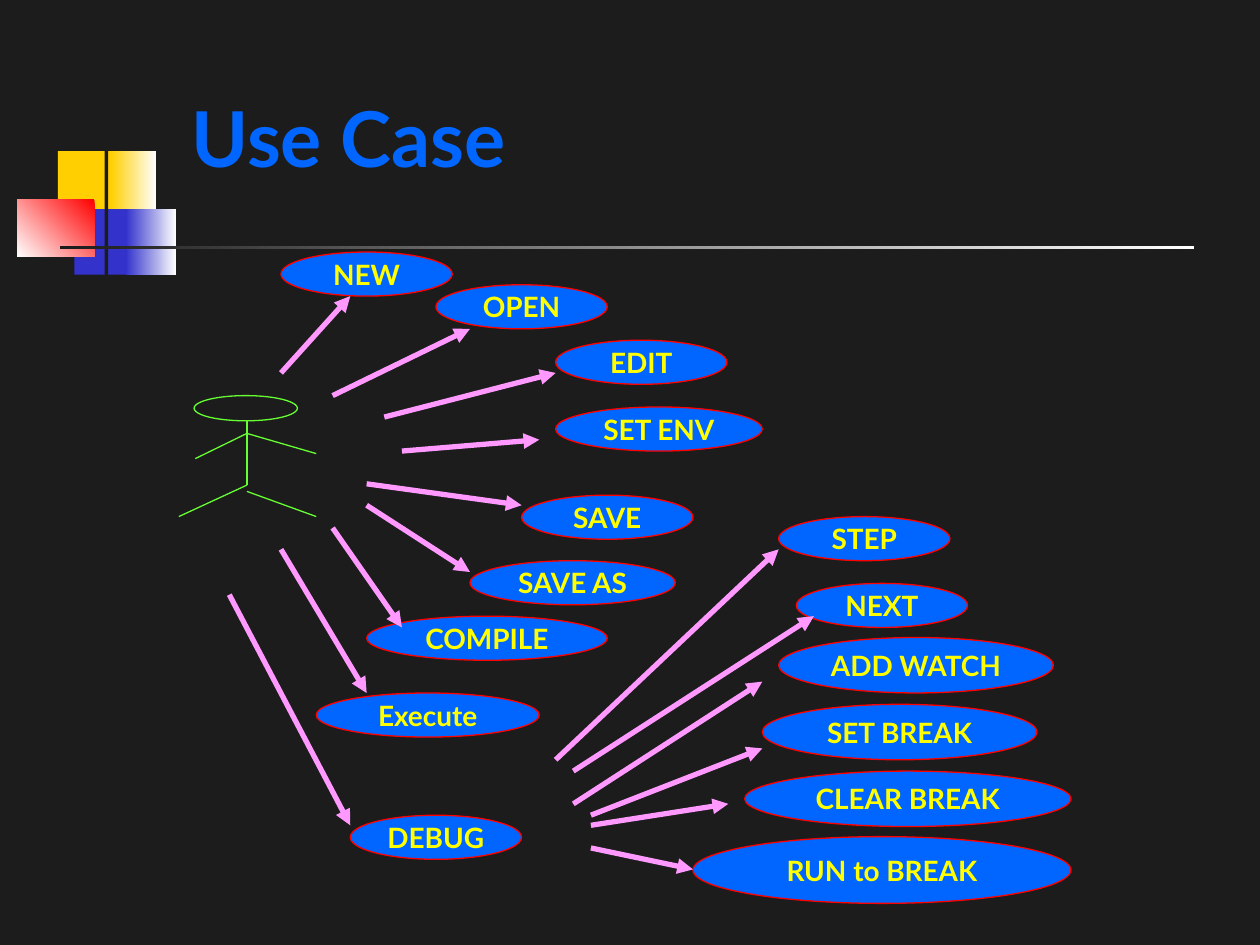
from dataclasses import dataclass

from lxml import etree
from pptx import Presentation
from pptx.dml.color import RGBColor
from pptx.enum.shapes import MSO_CONNECTOR, MSO_SHAPE
from pptx.enum.text import MSO_ANCHOR, MSO_AUTO_SIZE, PP_ALIGN
from pptx.oxml.ns import qn
from pptx.util import Inches, Pt

RECT, OVAL = MSO_SHAPE.RECTANGLE, MSO_SHAPE.OVAL
STRAIGHT = MSO_CONNECTOR.STRAIGHT
LEFT, CENTER = PP_ALIGN.LEFT, PP_ALIGN.CENTER
MIDDLE, BOTTOM = MSO_ANCHOR.MIDDLE, MSO_ANCHOR.BOTTOM
NO_FIT = MSO_AUTO_SIZE.NONE


@dataclass(frozen=True)
class Theme:
    font: str = "Lato"
    title: int = 44
    label: int = 16
    thin: float = 0.75
    thick: float = 3
    back: str = "1C1C1C"
    blue: str = "0066FF"
    yellow: str = "FFFF00"
    red: str = "FF0000"
    pink: str = "FF99FF"
    green: str = "66FF33"
    gold: str = "FFCF01"
    navy: str = "3333CC"
    white: str = "FFFFFF"


THEME = Theme()

# left, top, width, height, colours, gradient angle
BLOCKS = [
    (0.46, 1.2, 0.48, 0.52, [THEME.gold], 0),
    (0.88, 1.2, 0.36, 0.52, [THEME.white, THEME.gold], 180),
    (0.59, 1.66, 0.46, 0.52, [THEME.navy], 0),
    (1, 1.66, 0.4, 0.52, [THEME.white, THEME.navy], 180),
    (0.14, 1.58, 0.61, 0.46, [THEME.red, THEME.white], 225),
    (0.83, 1.08, 0.03, 1.15, [THEME.back], 0),
    (0.48, 1.95, 9, 0.03, [THEME.white, THEME.back], 180),
]

# label, left, top, width, height
CASES = [
    ("NEW", 2.23, 2, 1.36, 0.35),
    ("OPEN", 3.46, 2.26, 1.36, 0.35),
    ("EDIT", 4.41, 2.7, 1.36, 0.35),
    ("SET ENV", 4.41, 3.23, 1.64, 0.35),
    ("SAVE", 4.14, 3.93, 1.36, 0.35),
    ("SAVE AS", 3.73, 4.45, 1.63, 0.35),
    ("COMPILE", 2.91, 4.89, 1.91, 0.35),
    ("Execute", 2.51, 5.5, 1.77, 0.35),
    ("DEBUG", 2.78, 6.47, 1.36, 0.35),
    ("STEP", 6.18, 4.1, 1.36, 0.35),
    ("NEXT", 6.32, 4.63, 1.36, 0.35),
    ("ADD WATCH", 6.18, 5.06, 2.18, 0.44),
    ("SET BREAK", 6.05, 5.59, 2.18, 0.44),
    ("CLEAR BREAK", 5.91, 6.12, 2.59, 0.44),
    ("RUN to BREAK", 5.5, 6.64, 3, 0.53),
]

# from x, y, to x, y
USER_ARROWS = [
    (2.23, 2.96, 2.78, 2.35),
    (2.64, 3.14, 3.73, 2.61),
    (3.05, 3.31, 4.41, 2.96),
    (3.19, 3.58, 4.28, 3.49),
    (2.91, 3.84, 4.14, 4.01),
    (2.91, 4.01, 3.73, 4.54),
    (2.64, 4.19, 3.19, 4.98),
    (2.23, 4.36, 2.91, 5.5),
    (1.82, 4.72, 2.78, 6.55),
]
DEBUG_ARROWS = [
    (4.41, 6.03, 6.18, 4.36),
    (4.55, 6.12, 6.46, 4.89),
    (4.55, 6.38, 6.05, 5.41),
    (4.69, 6.47, 6.05, 5.94),
    (4.69, 6.55, 5.78, 6.38),
    (4.69, 6.73, 5.5, 6.9),
]
LIMBS = [
    (1.96, 3.34, 1.96, 3.85),
    (1.96, 3.44, 1.55, 3.64),
    (1.96, 3.44, 2.51, 3.6),
    (1.96, 3.85, 1.42, 4.1),
    (1.96, 3.9, 2.51, 4.1),
]


def rgb(code):
    return RGBColor.from_string(code)


def style(para, size, color, align):
    para.alignment = align
    font = para.font
    font.name, font.size, font.bold = THEME.font, Pt(size), True
    font.color.rgb = rgb(color)


def add_form(shapes, kind, box, line=None):
    form = shapes.add_shape(kind, *map(Inches, box))
    form.shadow.inherit = False
    if line:
        form.line.color.rgb = rgb(line)
        form.line.width = Pt(THEME.thin)
    else:
        form.line.fill.background()
    return form


def add_block(shapes, box, colors, angle):
    fill = add_form(shapes, RECT, box).fill
    if len(colors) == 1:
        fill.solid()
        fill.fore_color.rgb = rgb(colors[0])
        return
    fill.gradient()
    fill.gradient_angle = angle
    for stop, color in zip(fill.gradient_stops, colors):
        stop.color.rgb = rgb(color)


def add_case(shapes, label, *box):
    form = add_form(shapes, OVAL, box, THEME.red)
    form.fill.solid()
    form.fill.fore_color.rgb = rgb(THEME.blue)
    frame = form.text_frame
    frame.word_wrap = False
    frame.vertical_anchor = MIDDLE
    frame.text = label
    style(frame.paragraphs[0], THEME.label, THEME.yellow, CENTER)


def add_line(shapes, ends, color, width):
    line = shapes.add_connector(STRAIGHT, *map(Inches, ends))
    line.line.color.rgb = rgb(color)
    line.line.width = Pt(width)
    etree.SubElement(line._element.spPr, qn("a:effectLst"))
    return line


def add_arrow(shapes, ends):
    line = add_line(shapes, ends, THEME.pink, THEME.thick)
    etree.SubElement(line.line._get_or_add_ln(), qn("a:tailEnd"), type="triangle")


def add_actor(shapes):
    group = shapes.add_group_shape().shapes
    head = add_form(group, OVAL, (1.54, 3.14, 0.82, 0.2), THEME.green)
    head.fill.background()
    for ends in LIMBS:
        add_line(group, ends, THEME.green, THEME.thin)


def set_title(title, text):
    title.left, title.top = Inches(1.42), Inches(0.67)
    title.width, title.height = Inches(6.9), Inches(0.83)
    frame = title.text_frame
    frame.text = text
    frame.auto_size = NO_FIT
    frame.vertical_anchor = BOTTOM
    style(frame.paragraphs[0], THEME.title, THEME.blue, LEFT)


def main():
    deck = Presentation()
    deck.slide_width, deck.slide_height = Inches(10), Inches(7.5)
    slide = deck.slides.add_slide(deck.slide_layouts[5])
    back = slide.background.fill
    back.solid()
    back.fore_color.rgb = rgb(THEME.back)
    shapes = slide.shapes
    set_title(shapes.title, "Use Case")
    for *box, colors, angle in BLOCKS:
        add_block(shapes, box, colors, angle)
    for case in CASES:
        add_case(shapes, *case)
    add_actor(shapes)
    for ends in USER_ARROWS + DEBUG_ARROWS:
        add_arrow(shapes, ends)
    deck.save("out.pptx")


if __name__ == "__main__":
    main()
